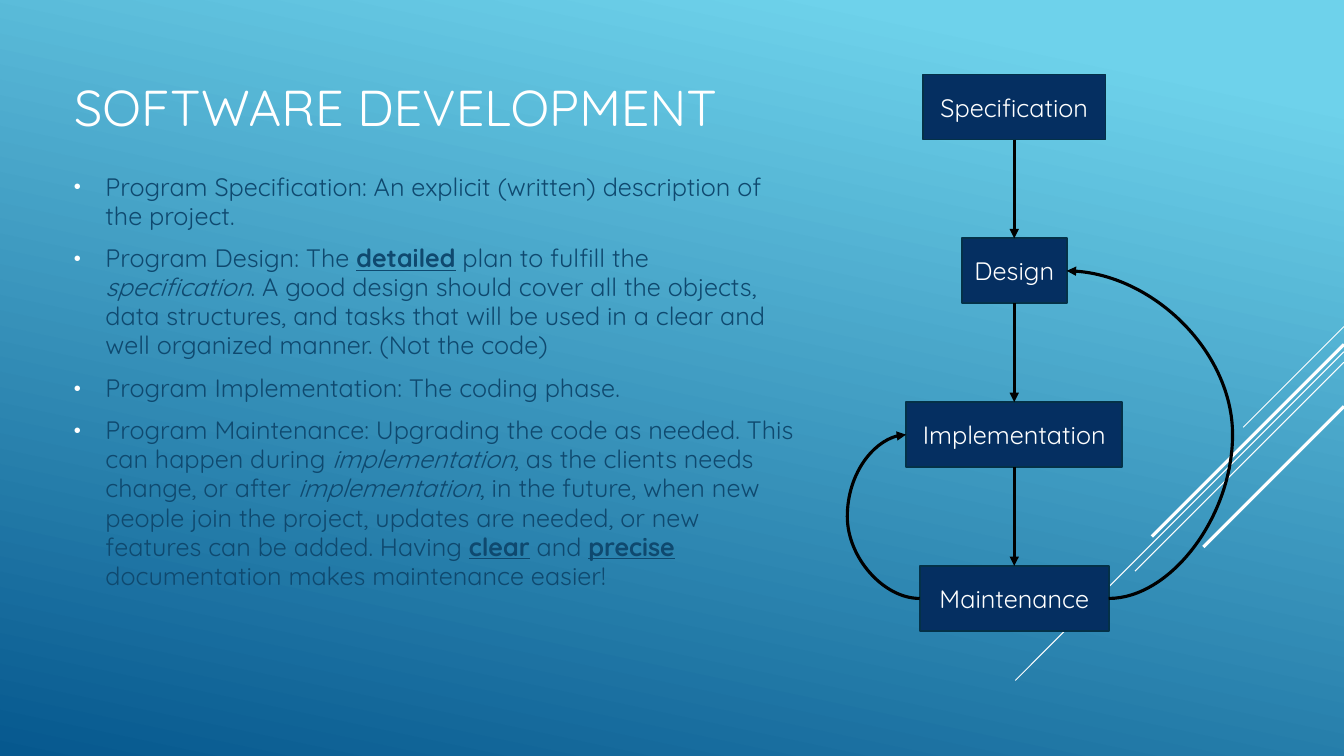
import lxml.etree
import pptx
import pptx.dml.color
import pptx.enum.shapes
import pptx.enum.text
import pptx.oxml.ns
import pptx.util

PX = 9525
FONT = "Quicksand"
COLORS = {
    "sky": "6ED2EB",
    "deep": "06588E",
    "white": "FFFFFF",
    "body": "0F496F",
    "box": "052F61",
    "border": "043148",
    "arrow": "000000",
}
RGB = {name: pptx.dml.color.RGBColor.from_string(code) for name, code in COLORS.items()}
ANCHOR = pptx.enum.text.MSO_ANCHOR
ALIGN = pptx.enum.text.PP_ALIGN
CONNECTOR = pptx.enum.shapes.MSO_CONNECTOR


def write(para, text, size, color, **styles):
    span = para.add_run()
    span.text = text
    span.font.color.rgb = RGB[color]
    values = {"name": FONT, "size": pptx.util.Pt(size), **styles}
    for key, value in values.items():
        setattr(span.font, key, value)


def connect(kind, start, end, color, weight, arrow=False):
    line = page.shapes.add_connector(kind, *(value * PX for value in (*start, *end)))
    line.line.color.rgb = RGB[color]
    line.line.width = pptx.util.Pt(weight)
    if arrow:
        tail = lxml.etree.SubElement(line.line._get_or_add_ln(), pptx.oxml.ns.qn("a:tailEnd"))
        tail.set("type", "triangle")
    lxml.etree.SubElement(line._element.spPr, pptx.oxml.ns.qn("a:effectLst"))
    return line


deck = pptx.Presentation()
deck.slide_width = 1280 * PX
deck.slide_height = 720 * PX
page = deck.slides.add_slide(deck.slide_layouts[5])

backdrop = page.background.fill
backdrop.gradient()
backdrop.gradient_angle = 258
for stop, position, color in zip(backdrop.gradient_stops, (0.1, 1), ("sky", "deep")):
    stop.position = position
    stop.color.rgb = RGB[color]

for top, length, weight in [
    (311, 96, 0.75),
    (335, 313, 0.75),
    (345, 199, 0.75),
    (328, 183, 2.25),
    (387, 134, 2.25),
]:
    connect(CONNECTOR.STRAIGHT, (1280, top), (1280 - length, top + length), "white", weight)

title = page.shapes.title
for key, value in {"left": 61, "top": 0, "width": 711, "height": 135}.items():
    setattr(title, key, value * PX)
title.text_frame.vertical_anchor = ANCHOR.BOTTOM
title.text_frame.word_wrap = True
heading = title.text_frame.paragraphs[0]
heading.alignment = ALIGN.LEFT
write(heading, "SOFTWARE DEVELOPMENT", 36, "white")

STRONG = {"bold": True, "underline": True}
ITALIC = {"italic": True}
points = [
    [("Program Specification: An explicit (written) description of the project.", {})],
    [
        ("Program Design: The ", {}),
        ("detailed", STRONG),
        (" plan to fulfill the ", {}),
        ("specification", ITALIC),
        (". A good design should cover all the objects, data structures, and tasks "
         "that will be used in a clear and well organized manner. (Not the code)", {}),
    ],
    [("Program Implementation: The coding phase.", {})],
    [
        ("Program Maintenance: Upgrading the code as needed. This can happen during ", {}),
        ("implementation", ITALIC),
        (", as the clients needs change, or after ", {}),
        ("implementation", ITALIC),
        (", in the future, when new people join the project, updates are needed, "
         "or new features can be added. Having ", {}),
        ("clear", STRONG),
        (" and ", {}),
        ("precise", STRONG),
        (" documentation makes maintenance easier!", {}),
    ],
]
body = page.shapes.add_textbox(61 * PX, 160 * PX, 711 * PX, 442 * PX).text_frame
body.word_wrap = True
spacing = {
    "line_spacing": 0.96,
    "space_before": pptx.util.Pt(3.6),
    "space_after": pptx.util.Pt(6),
}
for index, point in enumerate(points):
    para = body.add_paragraph() if index else body.paragraphs[0]
    for key, value in spacing.items():
        setattr(para, key, value)
    properties = para._p.get_or_add_pPr()
    properties.set("marL", str(30 * PX))
    properties.set("indent", str(-30 * PX))
    bullet_color = lxml.etree.SubElement(properties, pptx.oxml.ns.qn("a:buClr"))
    for parent, tag, key, value in [
        (bullet_color, "a:srgbClr", "val", COLORS["white"]),
        (properties, "a:buSzPct", "val", "80000"),
        (properties, "a:buFont", "typeface", "Arial"),
        (properties, "a:buChar", "char", "•"),
    ]:
        lxml.etree.SubElement(parent, pptx.oxml.ns.qn(tag)).set(key, value)
    for text, styles in point:
        write(para, text, 18, "body", **styles)

CENTER, FIRST_TOP, PITCH, BOX_HEIGHT = 966, 71, 156, 62
phases = [("Specification", 174), ("Design", 100), ("Implementation", 206), ("Maintenance", 180)]
boxes = []
for index, (name, width) in enumerate(phases):
    box = page.shapes.add_shape(
        pptx.enum.shapes.MSO_SHAPE.RECTANGLE,
        (CENTER - width // 2) * PX,
        (FIRST_TOP + index * PITCH) * PX,
        width * PX,
        BOX_HEIGHT * PX,
    )
    box.shadow.inherit = False
    box.fill.solid()
    box.fill.fore_color.rgb = RGB["box"]
    box.line.color.rgb = RGB["border"]
    box.line.width = pptx.util.Pt(1.25)
    box.text_frame.vertical_anchor = ANCHOR.MIDDLE
    box.text_frame.word_wrap = False
    label = box.text_frame.paragraphs[0]
    label.alignment = ALIGN.CENTER
    write(label, name, 18, "white")
    boxes.append(box)

for upper, lower in zip(boxes, boxes[1:]):
    arrow = connect(CONNECTOR.STRAIGHT, (0, 0), (0, 0), "arrow", 2.25, True)
    arrow.begin_connect(upper, 2)
    arrow.end_connect(lower, 0)

maintenance = boxes[3]
for target, side, bend in [(boxes[1], 3, 1174), (boxes[2], 1, 807)]:
    loop = connect(CONNECTOR.CURVE, (1, 1), (0, 0), "arrow", 2.25, True)
    loop.begin_connect(maintenance, side)
    loop.end_connect(target, side)
    ratio = (loop.begin_x - bend * PX) / (loop.begin_x - loop.end_x)
    adjustments = loop._element.spPr.find(pptx.oxml.ns.qn("a:prstGeom")).find(pptx.oxml.ns.qn("a:avLst"))
    guide = lxml.etree.SubElement(adjustments, pptx.oxml.ns.qn("a:gd"))
    guide.set("name", "adj1")
    guide.set("fmla", f"val {round(ratio * 100000)}")

deck.save("out.pptx")
